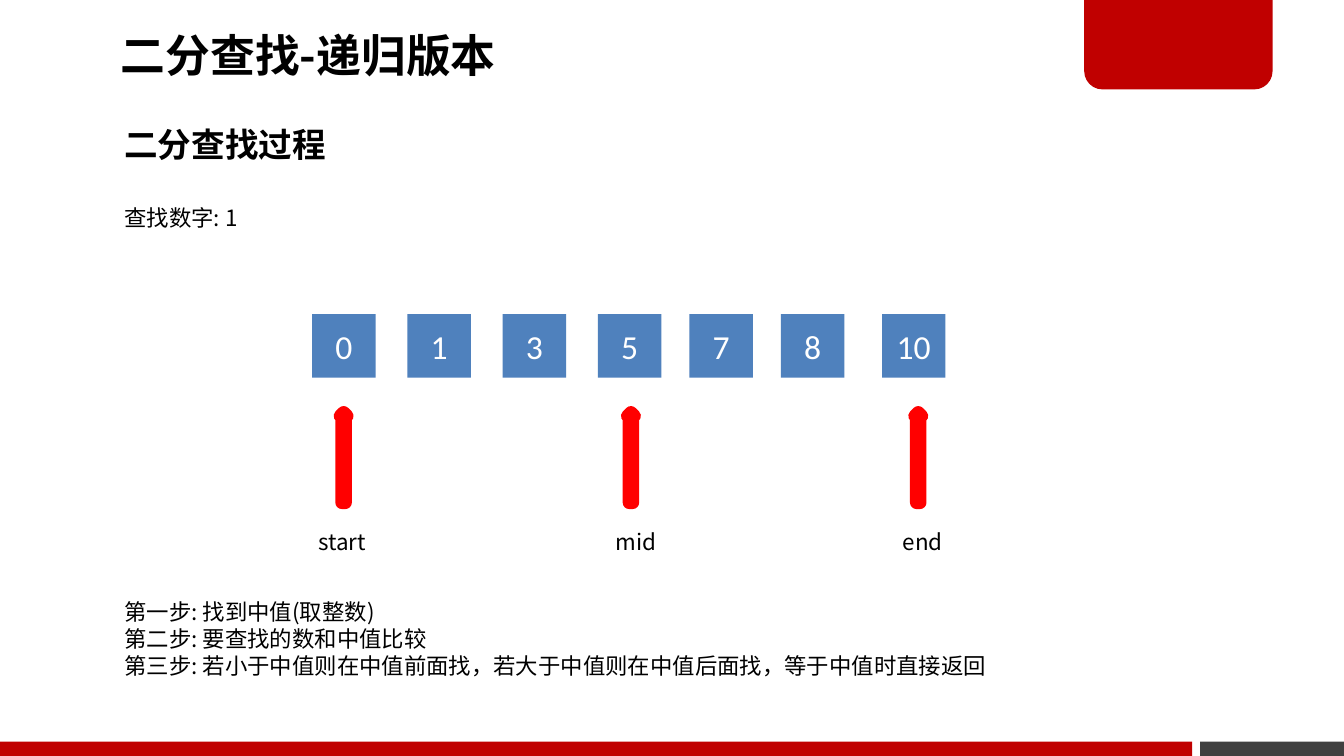
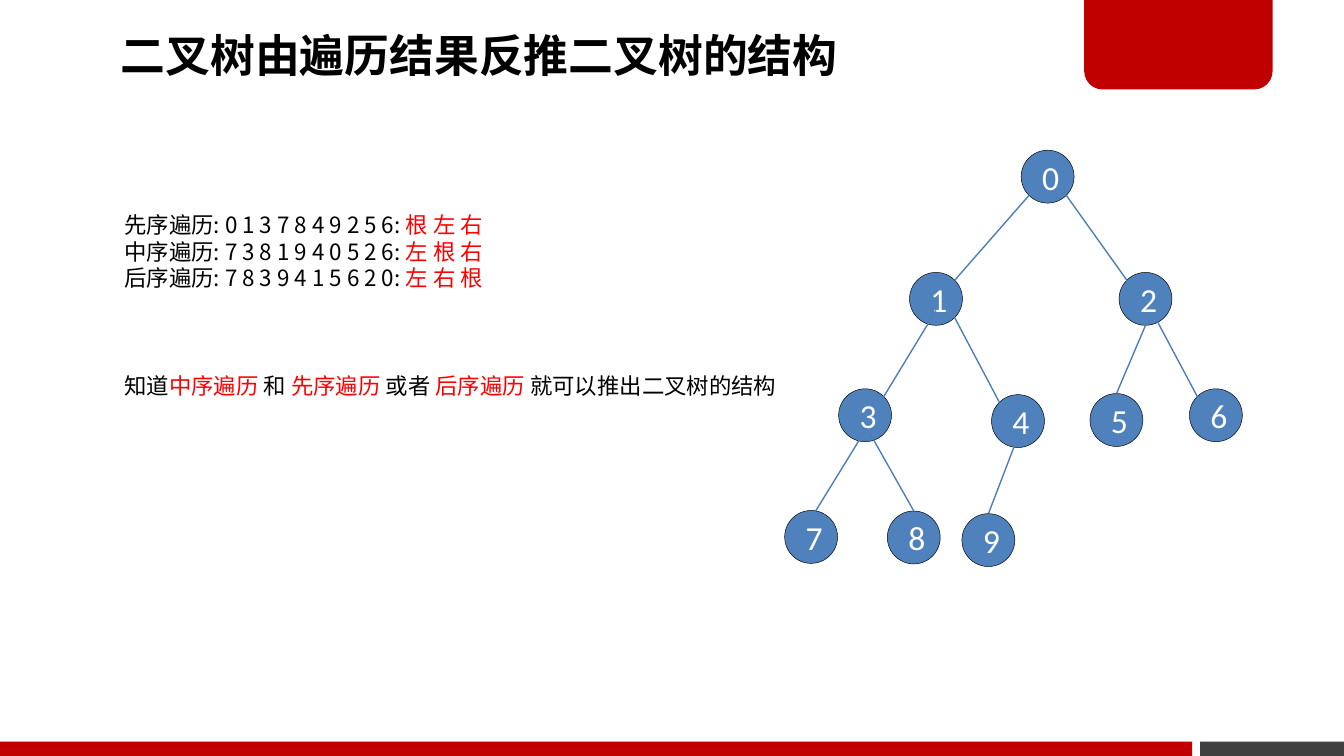
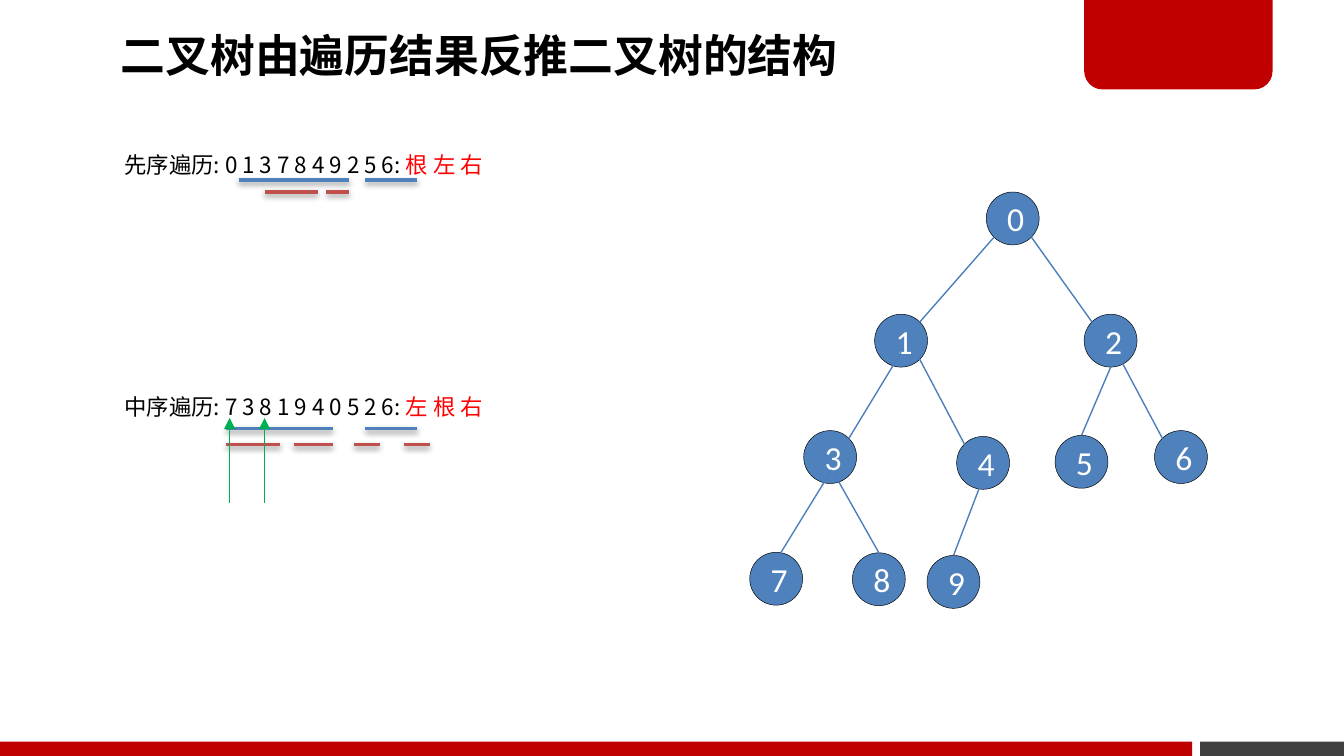
from lxml.etree import SubElement
from pptx import Presentation
from pptx.dml.color import RGBColor
from pptx.enum.shapes import MSO_CONNECTOR, MSO_SHAPE
from pptx.enum.text import MSO_ANCHOR, MSO_AUTO_SIZE, PP_ALIGN
from pptx.oxml.ns import qn
from pptx.util import Cm, Pt

COLORS = {
    "black": "000000", "white": "FFFFFF", "red": "FF0000", "band": "C00000",
    "gray": "404040", "blue": "4F81BD", "edge": "4B7EBC", "brick": "C0504D",
    "green": "00B050",
}
CJK_FONT = "Noto Sans CJK SC"
NUMBER_FONT = "Calibri"
LEFT = 2.1
BODY_SIZE = 12
NODE_SIZE = 1.0

# Node number: left and top within the tree
NODES = {
    0: (4.47, 0), 1: (2.36, 2.31), 2: (6.32, 2.31), 3: (1.02, 4.51),
    4: (3.91, 4.62), 5: (5.77, 4.6), 6: (7.65, 4.51), 7: (0, 6.81),
    8: (1.94, 6.82), 9: (3.35, 6.87),
}
# Points of a node as fractions of its width and height
TOP, BOTTOM = (0.5, 0), (0.5, 1)
TOP_LEFT, TOP_RIGHT = (0.15, 0.15), (0.85, 0.15)
BOTTOM_LEFT, BOTTOM_RIGHT = (0.15, 0.85), (0.85, 0.85)
EDGES = [
    (0, BOTTOM_LEFT, 1, TOP_RIGHT), (0, BOTTOM_RIGHT, 2, TOP_LEFT),
    (1, (0.5, 0.72), 3, TOP_RIGHT), (1, BOTTOM_RIGHT, 4, TOP_LEFT),
    (2, BOTTOM, 5, TOP), (2, (0.72, 0.92), 6, TOP_LEFT),
    (3, (0.53, 0.74), 7, (0.56, 0.05)), (3, (0.59, 0.84), 8, TOP),
    (4, (0.43, 0.97), 9, TOP),
]

PREORDER = [("先序遍历: 0 1 3 7 8 4 9 2 5 6: ", "black"), ("根 左 右", "red")]
INORDER = [("中序遍历: 7 3 8 1 9 4 0 5 2 6: ", "black"), ("左 根 右", "red")]
POSTORDER = [("后序遍历: 7 8 3 9 4 1 5 6 2 0: ", "black"), ("左 右 根", "red")]
TREE_TITLE = "二叉树由遍历结果反推二叉树的结构"


def rgb(name):
    return RGBColor.from_string(COLORS[name])


def add_span(para, text, size, color="black", bold=False, font=CJK_FONT):
    span = para.add_run()
    span.text = text
    span.font.size = Pt(size)
    span.font.bold = bold
    span.font.color.rgb = rgb(color)
    span.font.name = font
    SubElement(span.font._element, qn("a:ea"), typeface=font)


def add_text(page, left, top, width, height, paras, size=BODY_SIZE,
             bold=False, gap=0):
    """Each paragraph is a list of (text, color); gap precedes the last one."""
    box = page.shapes.add_textbox(Cm(left), Cm(top), Cm(width), Cm(height))
    frame = box.text_frame
    frame.word_wrap = True
    for index, spans in enumerate(paras):
        para = frame.add_paragraph() if index else frame.paragraphs[0]
        for text, color in spans:
            add_span(para, text, size, color, bold)
    if gap:
        frame.paragraphs[-1].space_before = Pt(gap)


def add_block(page, kind, left, top, width, height, fill=None, line=None,
              weight=1):
    block = page.shapes.add_shape(kind, Cm(left), Cm(top), Cm(width), Cm(height))
    block.shadow.inherit = False
    if fill:
        block.fill.solid()
        block.fill.fore_color.rgb = rgb(fill)
    else:
        block.fill.background()
    if line:
        block.line.color.rgb = rgb(line)
        block.line.width = Pt(weight)
    else:
        block.line.fill.background()
    return block


def add_number(block, number):
    frame = block.text_frame
    frame.vertical_anchor = MSO_ANCHOR.MIDDLE
    para = frame.paragraphs[0]
    para.alignment = PP_ALIGN.CENTER
    add_span(para, str(number), 18, "white", font=NUMBER_FONT)


def add_line(page, start, end, color, weight=0.75, arrow=False, shadow=False):
    line = page.shapes.add_connector(
        MSO_CONNECTOR.STRAIGHT, *[Cm(value) for value in (*start, *end)])
    line.line.color.rgb = rgb(color)
    line.line.width = Pt(weight)
    if arrow:
        SubElement(line.line._get_or_add_ln(), qn("a:tailEnd"), type="triangle")
    effects = SubElement(line._element.spPr, qn("a:effectLst"))
    if shadow:
        outer = SubElement(effects, qn("a:outerShdw"), blurRad="40000",
                           dist="20000", dir="5400000", rotWithShape="0")
        tint = SubElement(outer, qn("a:srgbClr"), val=COLORS["black"])
        SubElement(tint, qn("a:alpha"), val="38000")


def add_bands(page, layout):
    """Draw the corner tab and footer bands and hand them to the layout."""
    tab = add_block(page, MSO_SHAPE.ROUND_2_SAME_RECTANGLE,
                    20.49, -0.04, 3.56, 1.73, "band")
    tab.rotation = 180
    tab.adjustments[0] = 0.2
    bands = [
        add_block(page, MSO_SHAPE.RECTANGLE, 22.68, 14.02, 2.72, 0.27, "gray"),
        tab,
        add_block(page, MSO_SHAPE.RECTANGLE, 0, 14.02, 22.53, 0.27, "band"),
    ]
    for band in bands:
        layout.shapes.element.append(band.element)


def add_page(deck, layout, heading):
    page = deck.slides.add_slide(layout)
    title = page.shapes.title
    title.left, title.top = Cm(LEFT), Cm(-0.03)
    title.width, title.height = Cm(14.96), Cm(2.26)
    frame = title.text_frame
    frame.auto_size = MSO_AUTO_SIZE.NONE
    frame.word_wrap = True
    frame.vertical_anchor = MSO_ANCHOR.MIDDLE
    frame.margin_left = frame.margin_right = Cm(0.18)
    frame.margin_top = frame.margin_bottom = Cm(0.1)
    para = frame.paragraphs[0]
    para.alignment = PP_ALIGN.LEFT
    para.line_spacing = 0.9
    add_span(para, heading, 24, bold=True)
    return page


def add_array(page, left, top):
    # Sorted numbers
    cells = {0: 0, 1: 1.8, 3: 3.6, 5: 5.4, 7: 7.13, 8: 8.86, 10: 10.77}
    for number, offset in cells.items():
        cell = add_block(page, MSO_SHAPE.RECTANGLE, left + offset, top,
                         1.2, 1.2, "blue")
        add_number(cell, number)
    # Pointers and their labels
    labels = [("start", -0.13, 1.45), ("mid", 5.48, 1.3), ("end", 10.91, 1.3)]
    for index, (label, offset, width) in enumerate(labels):
        add_block(page, MSO_SHAPE.UP_ARROW, left + 0.53 + 5.43 * index,
                  top + 1.86, 0.13, 1.7, line="red", weight=7)
        add_text(page, left + offset, top + 3.91, width, 0.76,
                 [[(label, "black")]])


def add_tree(page, left, top):
    for number, (x, y) in NODES.items():
        node = add_block(page, MSO_SHAPE.OVAL, left + x, top + y,
                         NODE_SIZE, NODE_SIZE, "blue", "black", 0.25)
        add_number(node, number)

    def point(number, site):
        x, y = NODES[number]
        return left + x + site[0] * NODE_SIZE, top + y + site[1] * NODE_SIZE

    for parent, parent_site, child, child_site in EDGES:
        add_line(page, point(parent, parent_site), point(child, child_site),
                 "edge")


def add_marked_orders(page, left, top):
    add_text(page, left, top, 7.82, 5.38, [PREORDER, INORDER], gap=115)
    # Underlines of the subtrees: height, color, (start, end) of each
    underlines = [
        (5.36, "blue", [(2.18, 4.19), (4.8, 5.79)]),
        (0.66, "blue", [(2.41, 4.5), (4.8, 5.79)]),
        (5.66, "brick", [(2.18, 3.2), (3.45, 4.19), (4.6, 5.08), (5.54, 6.02)]),
        (0.89, "brick", [(2.9, 3.91), (4.06, 4.5)]),
    ]
    for y, color, spans in underlines:
        for start, end in spans:
            add_line(page, (left + start, top + y), (left + end, top + y),
                     color, 2, shadow=True)
    # Arrows to single numbers
    for x in (2.24, 2.9):
        add_line(page, (left + x, top + 6.76), (left + x, top + 5.16),
                 "green", arrow=True)


def build_search(page):
    add_text(page, LEFT, 2.21, 4.37, 1.02, [[("二分查找过程", "black")]],
             size=18, bold=True)
    add_array(page, 5.9, 5.94)
    add_text(page, LEFT, 3.73, 2.69, 0.76, [[("查找数字: 1", "black")]])
    steps = [
        "第一步: 找到中值(取整数)",
        "第二步: 要查找的数和中值比较",
        "第三步: 若小于中值则在中值前面找，若大于中值则在中值后面找，等于中值时直接返回",
    ]
    add_text(page, LEFT, 11.18, 16.87, 1.8, [[(step, "black")] for step in steps])


def build_orders(page):
    conclusion = [
        ("知道", "black"), ("中序遍历 ", "red"), ("和", "black"),
        (" 先序遍历 ", "red"), ("或者", "black"), (" 后序遍历 ", "red"),
        ("就可以推出二叉树的结构", "black"),
    ]
    add_text(page, LEFT, 3.86, 13.61, 3.86,
             [PREORDER, INORDER, POSTORDER, conclusion], gap=43)
    add_tree(page, 14.83, 2.84)


def build_marked_orders(page):
    add_tree(page, 14.17, 3.63)
    add_marked_orders(page, LEFT, 2.74)


def main():
    deck = Presentation()
    deck.slide_width, deck.slide_height = Cm(25.4), Cm(14.29)
    layout = deck.slide_layouts.get_by_name("Title Only")
    search_page = add_page(deck, layout, "二分查找-递归版本")
    add_bands(search_page, layout)
    build_search(search_page)
    build_orders(add_page(deck, layout, TREE_TITLE))
    build_marked_orders(add_page(deck, layout, TREE_TITLE))
    deck.save("out.pptx")


if __name__ == "__main__":
    main()
